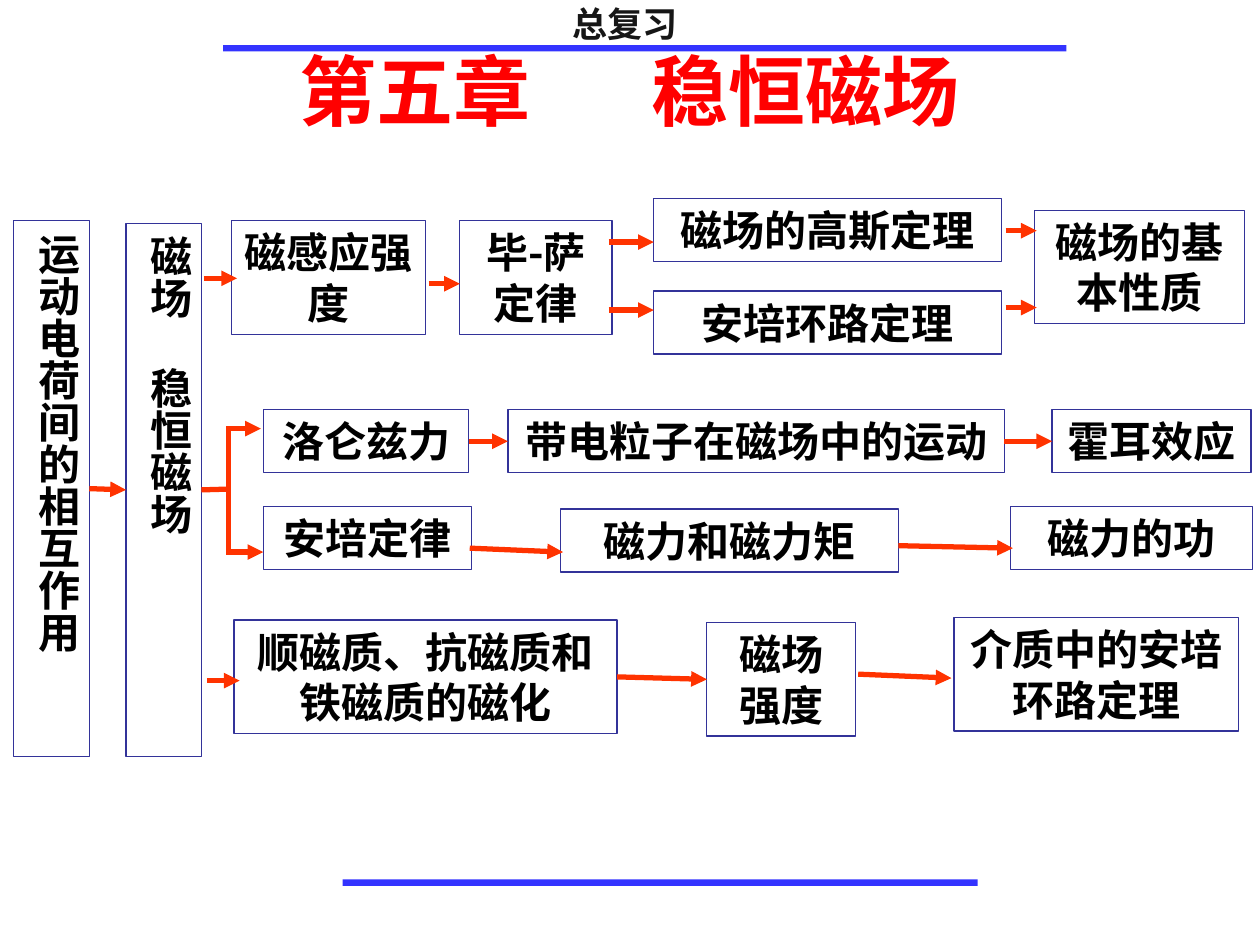
from lxml.etree import SubElement
from pptx import Presentation
from pptx.dml.color import RGBColor
from pptx.enum.shapes import MSO_CONNECTOR, MSO_SHAPE
from pptx.enum.text import MSO_ANCHOR, MSO_AUTO_SIZE, PP_ALIGN
from pptx.oxml.ns import qn
from pptx.util import Cm, Pt

CJK_FONT = "Noto Sans CJK SC"
ONE_LINE, TWO_LINES = 1.27, 2.29
LEFT, RIGHT = 1, 3


def color(hex_code):
    return RGBColor.from_string(hex_code)


def style(paragraph, size, hex_code, font_name):
    paragraph.alignment = PP_ALIGN.CENTER
    font = paragraph.font
    font.size, font.bold, font.name = Pt(size), True, font_name
    font.color.rgb = color(hex_code)
    east_asian = SubElement(paragraph._p.pPr.find(qn("a:defRPr")), qn("a:ea"))
    east_asian.set("typeface", CJK_FONT)


def add_spaced_words(paragraph, words, gap):
    """Write words parted by one space that is widened by gap points."""
    for index, word in enumerate(words):
        if index:
            space = paragraph.add_run()
            space.text = " "
            space.font._element.set("spc", str(gap * 100))
        paragraph.add_run().text = word


def add_rule(slide, left, top, width):
    rule = slide.shapes.add_shape(
        MSO_SHAPE.RECTANGLE, Cm(left), Cm(top), Cm(width), Cm(0.13))
    rule.shadow.inherit = False
    rule.fill.solid()
    rule.fill.fore_color.rgb = color("3333FF")
    rule.line.fill.background()


def add_box(slide, words, left, top, width, height=ONE_LINE, vertical=False):
    box = slide.shapes.add_shape(
        MSO_SHAPE.RECTANGLE, Cm(left), Cm(top), Cm(width), Cm(height))
    box.shadow.inherit = False
    box.fill.background()
    box.line.color.rgb = color("333399")
    box.line.width = Pt(0.75)
    frame = box.text_frame
    frame.word_wrap = True
    frame.vertical_anchor = MSO_ANCHOR.TOP
    if vertical:
        frame._txBody.bodyPr.set("vert", "eaVert")
        frame.margin_left = frame.margin_right = Cm(0.13)
        frame.margin_top = frame.margin_bottom = Cm(0.25)
    paragraph = frame.paragraphs[0]
    add_spaced_words(paragraph, words.split(), 22)
    style(paragraph, 24, "000000", CJK_FONT)
    return box


def add_line(slide, start, end, arrow=True):
    """Draw a line; each end is an (x, y) point or a box to join at its side."""
    line = slide.shapes.add_connector(MSO_CONNECTOR.STRAIGHT, 0, 0, 0, 0)
    if isinstance(start, tuple):
        line.begin_x, line.begin_y = map(Cm, start)
    else:
        line.begin_connect(start, RIGHT)
    if isinstance(end, tuple):
        line.end_x, line.end_y = map(Cm, end)
    else:
        line.end_connect(end, LEFT)
    line.line.color.rgb = color("FF3300")
    line.line.width = Pt(3)
    if arrow:
        SubElement(line.line._ln, qn("a:tailEnd")).set("type", "triangle")
    SubElement(line._element.spPr, qn("a:effectLst"))


def add_lines(slide, left, top, ends):
    """Draw arrows whose ends are measured from left and top."""
    for x1, y1, x2, y2 in ends:
        add_line(slide, (left + x1, top + y1), (left + x2, top + y2))


def add_frame(slide):
    """Place the running header and the two rules."""
    add_rule(slide, 4.5, 0.91, 17)
    add_rule(slide, 6.91, 17.73, 12.8)
    header = slide.shapes.add_textbox(Cm(11.3), Cm(-0.08), Cm(2.62), Cm(1.12))
    header.text_frame.word_wrap = False
    paragraph = header.text_frame.paragraphs[0]
    paragraph.text = "总复习"
    style(paragraph, 20, "161616", "Arial")


def set_title(slide, left, top, width, height):
    title = slide.shapes.title
    title.left, title.top, title.width, title.height = map(
        Cm, (left, top, width, height))
    frame = title.text_frame
    frame.auto_size = MSO_AUTO_SIZE.NONE
    frame.vertical_anchor = MSO_ANCHOR.TOP
    add_spaced_words(frame.paragraphs[0], ["第五章", "稳恒磁场"], 59)
    style(frame.paragraphs[0], 44, "FF0000", "Arial")


def add_origin(slide, left, top):
    """Place the two upright boxes and return the one that branches."""
    interaction = add_box(
        slide, "运动电荷间的相互作用", left, top, 1.52, 10.8, vertical=True)
    field = add_box(slide, "磁场 稳恒磁场", left + 2.26, top + 0.05, 1.52, 10.75,
                    vertical=True)
    add_line(slide, interaction, field)
    return field


def add_field_branch(slide, left, top):
    add_box(slide, "磁感应强度", left + 0.61, top + 0.45, 3.91, TWO_LINES)
    add_box(slide, "毕-萨定律", left + 5.21, top + 0.45, 3.07, TWO_LINES)
    add_box(slide, "磁场的高斯定理", left + 9.12, top, 7.01)
    add_box(slide, "安培环路定理", left + 9.12, top + 1.87, 7.01)
    add_box(slide, "磁场的基本性质", left + 16.79, top + 0.24, 4.24, TWO_LINES)
    add_lines(slide, left, top, [
        (0.05, 1.61, 0.72, 1.61), (4.58, 1.72, 5.21, 1.72),
        (8.21, 0.88, 9.12, 0.88), (8.21, 2.25, 9.12, 2.25),
        (16.21, 0.65, 16.84, 0.65), (16.21, 2.2, 16.84, 2.2)])


def add_force_branch(slide, field, left, top):
    lorentz = add_box(slide, "洛仑兹力", left + 1.25, top, 4.14)
    motion = add_box(slide, "带电粒子在磁场中的运动", left + 6.18, top, 10.01)
    hall = add_box(slide, "霍耳效应", left + 17.15, top, 4.01)
    add_box(slide, "安培定律", left + 1.25, top + 1.95, 4.19)
    add_box(slide, "磁力和磁力矩", left + 7.24, top + 2, 6.81)
    add_box(slide, "磁力的功", left + 16.31, top + 1.95, 4.88)

    fork = left + 0.54
    add_line(slide, field, (fork, top + 1.6), arrow=False)
    add_line(slide, (fork, top + 0.33), (fork, top + 2.92), arrow=False)
    add_line(slide, lorentz, motion)
    add_line(slide, motion, hall)
    add_lines(slide, left, top, [
        (0.54, 0.38, 1.2, 0.38), (0.54, 2.87, 1.25, 2.87),
        (5.41, 2.79, 7.29, 2.87), (14.05, 2.74, 16.36, 2.79)])


def add_medium_branch(slide, left, top):
    magnetization = add_box(slide, "顺磁质、抗磁质和铁磁质的磁化",
                            left + 0.66, top + 0.05, 7.72, TWO_LINES)
    strength = add_box(
        slide, "磁场强度", left + 10.19, top + 0.1, 3, TWO_LINES)
    add_box(slide, "介质中的安培环路定理", left + 15.17, top, 5.74, TWO_LINES)
    add_line(slide, magnetization, strength)
    add_lines(slide, left, top, [
        (0.11, 1.27, 0.77, 1.27), (13.24, 1.14, 15.12, 1.22)])


def main():
    deck = Presentation()
    deck.slide_width, deck.slide_height = Cm(25.4), Cm(19.05)
    slide = deck.slides.add_slide(deck.slide_layouts[5])
    add_frame(slide)
    set_title(slide, 1.27, 0.76, 22.86, 3.18)
    field = add_origin(slide, 0.28, 4.45)
    branches_left = 4.06
    add_field_branch(slide, branches_left, 4)
    add_force_branch(slide, field, branches_left, 8.26)
    add_medium_branch(slide, branches_left, 12.45)
    deck.save("out.pptx")


if __name__ == "__main__":
    main()
